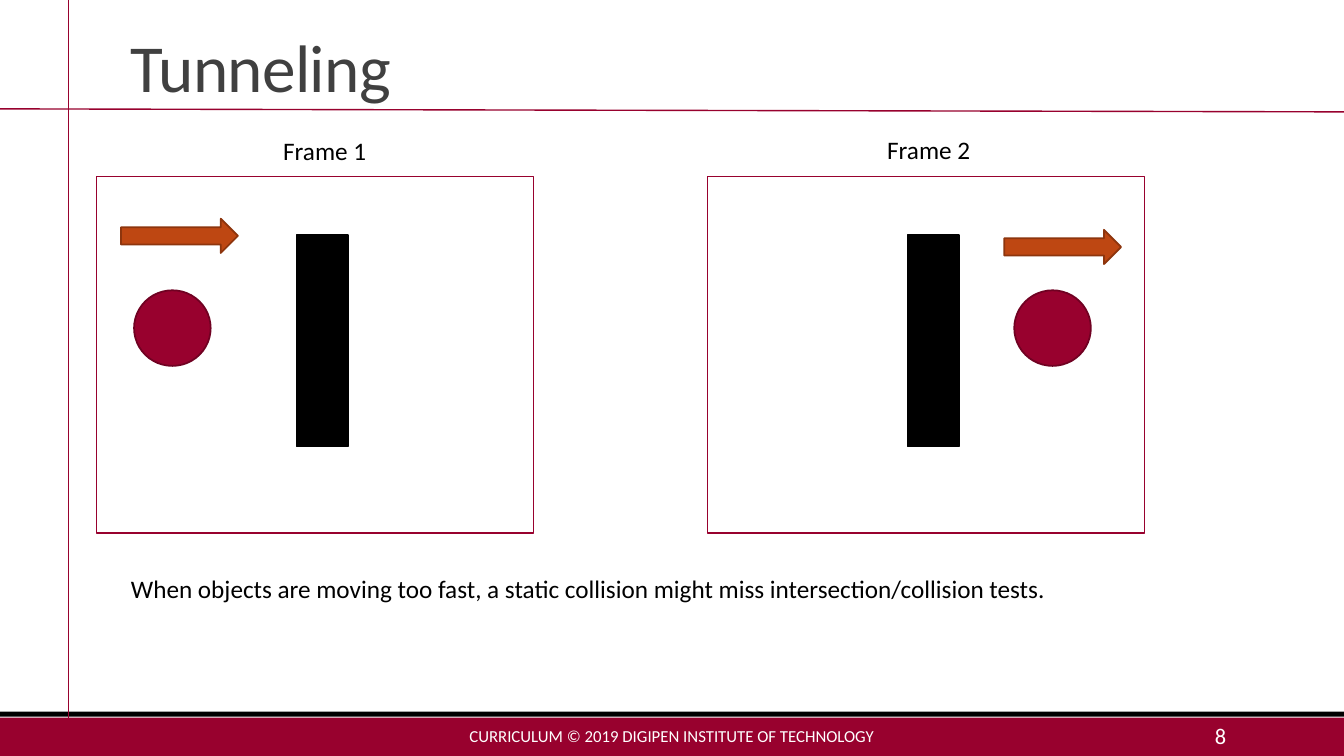
import lxml.etree
import pptx
import pptx.dml.color
import pptx.enum.shapes
import pptx.enum.text
import pptx.oxml.ns
import pptx.util

PX = 9144  # EMU per px, 100 px to the inch
WIDTH, HEIGHT = 1333, 750

THEME = {
    "font": "Calibri",
    "crimson": "98012E", "crimson_edge": "700122",
    "rust": "BE4712", "rust_edge": "8D350D",
    "black": "000000", "white": "FFFFFF", "title_gray": "404040",
    "title": 48, "body": 18, "number": 16, "footer": 12,
    "rule": 1, "outline": 1.25,
}
SHAPE = pptx.enum.shapes.MSO_SHAPE
ALIGN = pptx.enum.text.PP_ALIGN
ANCHOR = pptx.enum.text.MSO_ANCHOR

deck = pptx.Presentation()
deck.slide_width, deck.slide_height = WIDTH * PX, HEIGHT * PX
page = deck.slides.add_slide(deck.slide_layouts[6])


def add_figure(preset, left, top, width, height, fill=None, line=None, weight=THEME["outline"]):
    """Add a preset shape; a missing fill or line colour leaves that part empty."""
    figure = page.shapes.add_shape(preset, left * PX, top * PX, width * PX, height * PX)
    figure.shadow.inherit = False
    if fill:
        figure.fill.solid()
        figure.fill.fore_color.rgb = pptx.dml.color.RGBColor.from_string(THEME[fill])
    else:
        figure.fill.background()
    if line:
        figure.line.color.rgb = pptx.dml.color.RGBColor.from_string(THEME[line])
        figure.line.width = pptx.util.Pt(weight)
    else:
        figure.line.fill.background()


def add_text(text, left, top, width, height, size="body", color="black",
             align=ALIGN.LEFT, anchor=ANCHOR.TOP, line_spacing=None, tracking=None):
    """Add a one-paragraph text box; tracking is in hundredths of a point."""
    box = page.shapes.add_textbox(left * PX, top * PX, width * PX, height * PX)
    box.text_frame.word_wrap = True
    box.text_frame.vertical_anchor = anchor
    para = box.text_frame.paragraphs[0]
    para.alignment = align
    para.line_spacing = line_spacing
    span = para.add_run()
    span.text = text
    span.font.name = THEME["font"]
    span.font.size = pptx.util.Pt(THEME[size])
    span.font.color.rgb = pptx.dml.color.RGBColor.from_string(THEME[color])
    if tracking is not None:
        span.font._element.set("spc", str(tracking))


# Footer bands and crossing rules
add_figure(SHAPE.RECTANGLE, 0, 712, WIDTH, 38, fill="crimson")
add_figure(SHAPE.RECTANGLE, 0, 706, WIDTH, 5, fill="black")
for start_x, start_y, end_x, end_y in [(68, 0, 68, 712), (0, 108, WIDTH, 111)]:
    rule = page.shapes.add_connector(
        pptx.enum.shapes.MSO_CONNECTOR.STRAIGHT,
        start_x * PX, start_y * PX, end_x * PX, end_y * PX)
    rule.line.color.rgb = pptx.dml.color.RGBColor.from_string(THEME["crimson"])
    rule.line.width = pptx.util.Pt(THEME["rule"])
    lxml.etree.SubElement(rule._element.spPr, pptx.oxml.ns.qn("a:effectLst"))

add_text("Tunneling", 120, 16, 1100, 94, size="title", color="title_gray",
         anchor=ANCHOR.BOTTOM, line_spacing=0.85, tracking=-50)
add_text("CURRICULUM © 2019 DIGIPEN INSTITUTE OF TECHNOLOGY", 403, 710, 527, 40,
         size="footer", color="white", align=ALIGN.CENTER, anchor=ANCHOR.MIDDLE)
add_text("8", 1083, 710, 143, 40, size="number", color="white",
         align=ALIGN.RIGHT, anchor=ANCHOR.MIDDLE)

# Two frames: the ball passes from one side of the wall to the other
frames = [
    ("Frame 1", 96, 133, (120, 217), (271, 129)),
    ("Frame 2", 702, 1006, (996, 228), (870, 128)),
]
for label, frame_left, ball_left, arrow_corner, label_corner in frames:
    add_figure(SHAPE.RECTANGLE, frame_left + 198, 233, 51, 210, fill="black", line="black")
    add_figure(SHAPE.OVAL, ball_left, 288, 76, 75, fill="crimson", line="crimson_edge")
    add_figure(SHAPE.RECTANGLE, frame_left, 175, 433, 354, line="crimson", weight=THEME["rule"])
    add_figure(SHAPE.RIGHT_ARROW, *arrow_corner, 116, 34, fill="rust", line="rust_edge")
    add_text(label, *label_corner, 111, 40)

add_text("When objects are moving too fast, a static collision might miss "
         "intersection/collision tests.", 120, 564, 1038, 40)

deck.save("out.pptx")
